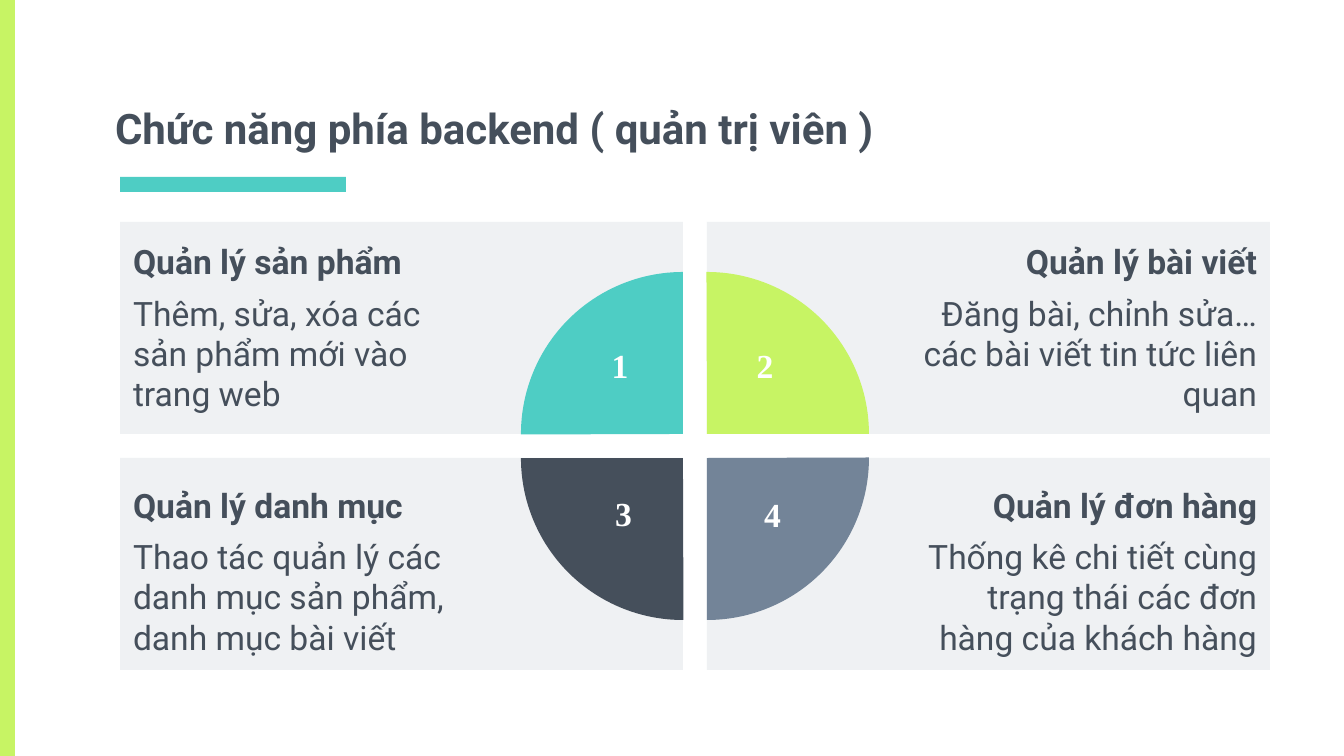
from pptx import Presentation
from pptx.dml.color import RGBColor
from pptx.enum.shapes import MSO_SHAPE as Shape
from pptx.enum.text import MSO_ANCHOR as Anchor, PP_ALIGN as Align
from pptx.util import Emu, Pt

PAGE_WIDTH, PAGE_HEIGHT = 1344, 756
SCALE = 12192000 / PAGE_WIDTH
TEAL, LIME, SLATE, STEEL = "4ECDC4", "C7F464", "454F5B", "738498"
WHITE, PALE = "FFFFFF", "EFF1F3"

CARD_LEFT, CARD_TOP, CARD_WIDTH, CARD_HEIGHT, GAP = 120, 222, 563, 212, 24
RADIUS = 162
PAD, WIDE_PAD = 13, 202

CARDS = [
    ("Quản lý sản phẩm", "Thêm, sửa, xóa các sản phẩm mới vào trang web"),
    ("Quản lý bài viết", "Đăng bài, chỉnh sửa… các bài viết tin tức liên quan"),
    ("Quản lý danh mục", "Thao tác quản lý các danh mục sản phẩm, danh mục bài viết"),
    ("Quản lý đơn hàng", "Thống kê chi tiết cùng trạng thái các đơn hàng của khách hàng"),
]
QUARTERS = [(0, 0, 0, TEAL), (1, 0, 90, LIME), (1, 1, 180, STEEL), (0, 1, 270, SLATE)]
NUMBERS = [("1", 596, 340, 48), ("2", 732, 340, 66), ("3", 592, 488, 63), ("4", 747, 489, 51)]


def px(length):
    return Emu(round(length * SCALE))


def color(value):
    return RGBColor.from_string(value)


class SlideBuilder:
    font = "Roboto"
    number_font = "Times New Roman"

    def __init__(self, page):
        self.page = page

    def shape(self, kind, left, top, width, height, fill):
        shape = self.page.shapes.add_shape(kind, px(left), px(top), px(width), px(height))
        shape.shadow.inherit = False
        shape.fill.solid()
        shape.fill.fore_color.rgb = color(fill)
        shape.line.fill.background()
        return shape

    def frame(self, shape, anchor, insets):
        frame = shape.text_frame
        frame.word_wrap = True
        frame.vertical_anchor = anchor
        (frame.margin_left, frame.margin_top,
         frame.margin_right, frame.margin_bottom) = map(px, insets)
        return frame

    def set_text(self, para, text, size, ink, bold, align, font=font):
        para.text = text
        para.alignment = align
        para.font.name = font
        para.font.size = Pt(size)
        para.font.bold = bold
        para.font.color.rgb = color(ink)

    def label(self, text, left, top, width, height, size, ink, align, font, anchor, insets):
        box = self.page.shapes.add_textbox(px(left), px(top), px(width), px(height))
        frame = self.frame(box, anchor, insets)
        self.set_text(frame.paragraphs[0], text, size, ink, True, align, font)

    def title(self, text):
        self.label(text, 102, 93, 1141, 73, 30, SLATE, Align.LEFT,
                   self.font, Anchor.BOTTOM, [PAD] * 4)

    def number(self, text, left, top, width):
        self.label(text, left, top, width, 59, 24, WHITE, Align.CENTER,
                   self.number_font, Anchor.TOP, (10, 5, 10, 5))

    def card(self, column, row, heading, detail):
        left = CARD_LEFT + column * (CARD_WIDTH + GAP)
        top = CARD_TOP + row * (CARD_HEIGHT + GAP)
        box = self.shape(Shape.RECTANGLE, left, top, CARD_WIDTH, CARD_HEIGHT, PALE)
        insets = (WIDE_PAD, PAD, PAD, PAD) if column else (PAD, PAD, WIDE_PAD, PAD)
        align = Align.RIGHT if column else Align.LEFT
        frame = self.frame(box, Anchor.BOTTOM if row else Anchor.TOP, insets)
        first = frame.paragraphs[0]
        self.set_text(first, heading, 24, SLATE, True, align)
        first.line_spacing = 1.15
        second = frame.add_paragraph()
        self.set_text(second, detail, 24, SLATE, False, align)
        second.space_before = second.space_after = Pt(8)

    def quarter(self, column, row, rotation, fill):
        left = CARD_LEFT + CARD_WIDTH + column * GAP - RADIUS
        top = CARD_TOP + CARD_HEIGHT + row * GAP - RADIUS
        pie = self.shape(Shape.PIE, left, top, 2 * RADIUS, 2 * RADIUS, fill)
        pie.adjustments[0] = 107.89
        pie.adjustments[1] = 162
        pie.rotation = rotation


def main():
    deck = Presentation()
    deck.slide_width, deck.slide_height = px(PAGE_WIDTH), px(PAGE_HEIGHT)
    builder = SlideBuilder(deck.slides.add_slide(deck.slide_layouts[6]))
    builder.shape(Shape.RECTANGLE, 0, 0, 15, PAGE_HEIGHT, LIME)
    builder.shape(Shape.RECTANGLE, CARD_LEFT, 177, 226, 15, TEAL)
    builder.title("Chức năng phía backend ( quản trị viên )")
    for index, (heading, detail) in enumerate(CARDS):
        row, column = divmod(index, 2)
        builder.card(column, row, heading, detail)
    for quarter in QUARTERS:
        builder.quarter(*quarter)
    for number in NUMBERS:
        builder.number(*number)
    deck.save("out.pptx")


if __name__ == "__main__":
    main()
